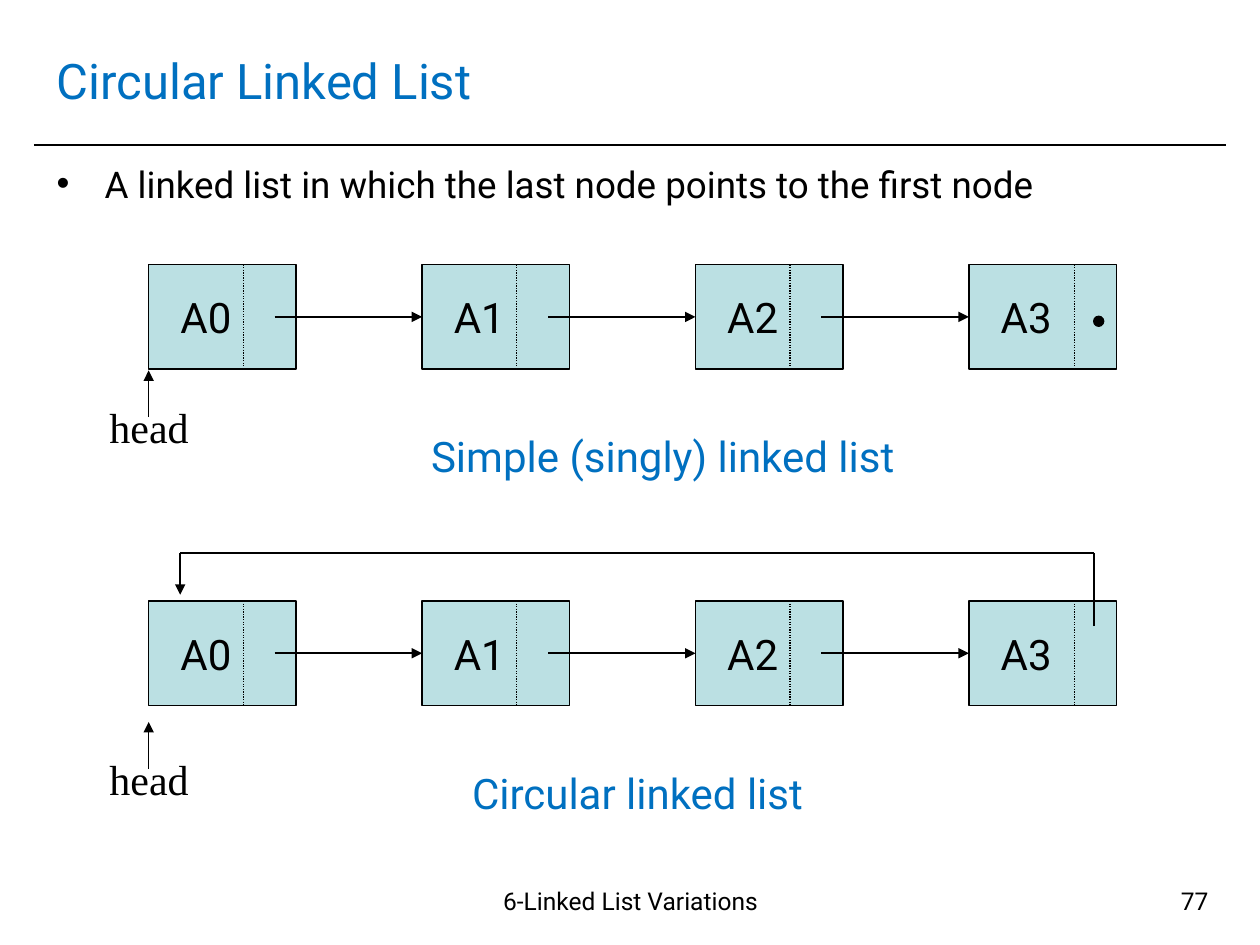
from lxml.etree import SubElement
from pptx import Presentation
from pptx.dml.color import RGBColor
from pptx.enum.dml import MSO_LINE
from pptx.enum.shapes import MSO_CONNECTOR, MSO_SHAPE
from pptx.enum.text import MSO_ANCHOR, MSO_AUTO_SIZE, PP_ALIGN
from pptx.oxml.ns import qn
from pptx.util import Inches, Pt

BLACK, BLUE, NODE_FILL = "000000", "0070C0", "BBE0E3"
LEFT, CENTER, RIGHT = PP_ALIGN.LEFT, PP_ALIGN.CENTER, PP_ALIGN.RIGHT
NODE_COUNT, NODE_LEFT, NODE_STEP = 4, 1.18, 2.17
NODE_W, NODE_H = 1.17, 0.83
SIMPLE_TOP, CIRCULAR_TOP = 2.1, 4.77


def rgb(value):
    return RGBColor.from_string(value)


class SlideBuilder:
    """Holds the slide and the default text style."""

    font = "Roboto"

    def __init__(self, slide):
        self.slide = slide
        self.shapes = slide.shapes

    def set_text(self, shape, text, size, color=BLACK, align=LEFT, font=None, **frame_format):
        frame = shape.text_frame
        settings = {"word_wrap": True, "auto_size": MSO_AUTO_SIZE.NONE,
                    "vertical_anchor": MSO_ANCHOR.TOP, **frame_format}
        for name, value in settings.items():
            setattr(frame, name, value)
        paragraph = frame.paragraphs[0]
        paragraph.alignment = align
        run = paragraph.add_run()
        run.text = text
        for name, value in {"name": font or self.font, "size": Pt(size)}.items():
            setattr(run.font, name, value)
        run.font.color.rgb = rgb(color)
        return paragraph

    def placeholder(self, index, box, text, size, **style):
        shape = self.slide.placeholders[index]
        for name, value in zip(("left", "top", "width", "height"), box):
            setattr(shape, name, Inches(value))
        return self.set_text(shape, text, size, **style)

    def bullet(self, paragraph, indent):
        paragraph.space_before = Pt(0)
        props = paragraph._p.get_or_add_pPr()
        props.set("marL", str(Inches(indent)))
        props.set("indent", str(-Inches(indent)))
        SubElement(SubElement(props, qn("a:buClr")), qn("a:srgbClr"), val=BLACK)
        SubElement(props, qn("a:buFont"), typeface="Arial")
        SubElement(props, qn("a:buChar"), char="•")

    def label(self, box, text, size, **style):
        self.set_text(self.shapes.add_textbox(*map(Inches, box)), text, size, **style)

    def shape(self, kind, box, fill):
        shape = self.shapes.add_shape(kind, *map(Inches, box))
        shape.shadow.inherit = False
        shape.fill.solid()
        shape.fill.fore_color.rgb = rgb(fill)
        shape.line.color.rgb = rgb(BLACK)
        shape.line.width = Pt(0.75)
        return shape

    def line(self, start, end, width=1, dash=None, arrow=False, target=None):
        """Draw a line; a target rectangle is joined at its left side."""
        line = self.shapes.add_connector(MSO_CONNECTOR.STRAIGHT, *map(Inches, start + end))
        if target is not None:
            line.end_connect(target, 1)
        line.line.color.rgb = rgb(BLACK)
        line.line.width = Pt(width)
        if dash:
            line.line.dash_style = dash
        if arrow:
            SubElement(line.line._get_or_add_ln(), qn("a:tailEnd"), type="triangle")
        SubElement(line._element.spPr, qn("a:effectLst"))

    def node(self, left, top, name, divider):
        box = self.shape(MSO_SHAPE.RECTANGLE, (left, top, NODE_W, NODE_H), NODE_FILL)
        # The wide right margin centres the name in the data part of the node.
        self.set_text(box, name, 24, align=CENTER, vertical_anchor=MSO_ANCHOR.MIDDLE,
                      margin_right=Inches(0.36))
        x = left + divider
        self.line((x, top), (x, top + NODE_H), 0.75, dash=MSO_LINE.ROUND_DOT)
        return box

    def node_row(self, top):
        last = NODE_COUNT - 1
        lefts = [NODE_LEFT + i * NODE_STEP for i in range(NODE_COUNT)]
        nodes = [self.node(left, top, f"A{i}", 0.84 if i == last else 0.75)
                 for i, left in enumerate(lefts)]
        middle = top + NODE_H / 2
        for left, next_left, next_node in zip(lefts, lefts[1:], nodes[1:]):
            self.line((left + 1, middle), (next_left, middle), arrow=True, target=next_node)

    def head(self, tip):
        self.label((0.77, tip + 0.2, 0.83, 0.5), "head", 24, font="Times New Roman")
        self.line((NODE_LEFT, tip + 0.37), (NODE_LEFT, tip), 0.75, arrow=True)


def main():
    deck = Presentation()
    deck.slide_width, deck.slide_height = Inches(10), Inches(7.5)
    page = SlideBuilder(deck.slides.add_slide(deck.slide_layouts[1]))

    page.line((0.27, 1.15), (9.73, 1.15))
    page.placeholder(0, (0.35, 0.21, 9.29, 0.85), "Circular Linked List", 28,
                     color=BLUE, vertical_anchor=MSO_ANCHOR.MIDDLE)
    definition = page.placeholder(
        1, (0.35, 1.23, 9.29, 0.84),
        "A linked list in which the last node points to the first node", 21)
    page.bullet(definition, 0.38)
    page.label((3.35, 6.98, 3.31, 0.52), "6-Linked List Variations", 14, align=CENTER)
    page.label((7.36, 6.98, 2.33, 0.52), "77", 14, align=RIGHT)

    page.node_row(SIMPLE_TOP)
    page.shape(MSO_SHAPE.OVAL, (8.68, 2.51, 0.08, 0.08), BLACK)
    page.head(2.94)
    page.label((2.99, 3.37, 4.54, 0.5), "Simple (singly) linked list", 24,
               color=BLUE, align=CENTER)

    page.node_row(CIRCULAR_TOP)
    back_link = [(8.68, 4.97), (8.68, 4.39), (1.43, 4.39), (1.43, 4.72)]
    for start, end in zip(back_link, back_link[1:]):
        page.line(start, end, arrow=end == back_link[-1])
    page.head(5.73)
    page.label((2.79, 6.04, 4.54, 0.5), "Circular linked list", 24, color=BLUE, align=CENTER)

    deck.save("out.pptx")


if __name__ == "__main__":
    main()
